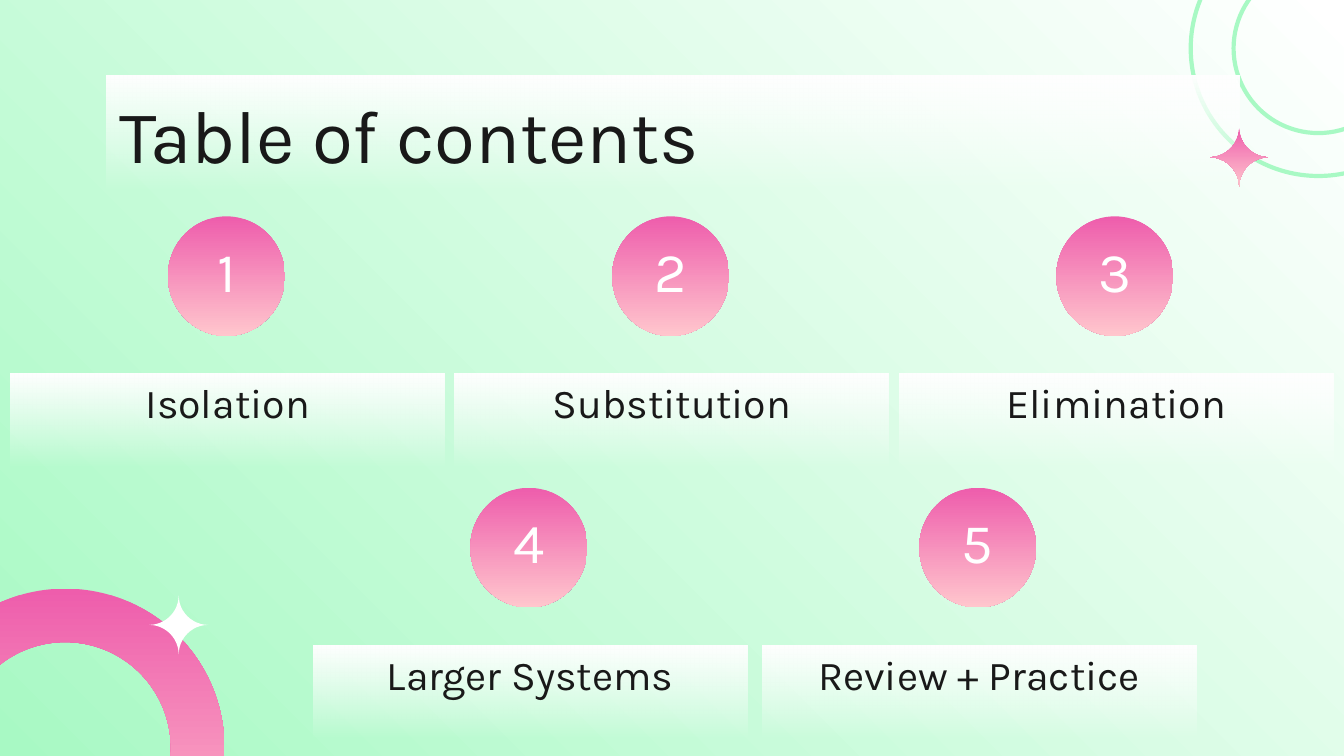
from lxml.etree import SubElement
from pptx import Presentation
from pptx.dml.color import RGBColor
from pptx.enum.shapes import MSO_SHAPE
from pptx.enum.text import MSO_ANCHOR, PP_ALIGN
from pptx.oxml.ns import qn
from pptx.util import Inches, Pt

COLORS = {
    "mint": "A8F9C4",
    "white": "FFFFFF",
    "pink": "EE5DAC",
    "blush": "FFC6CD",
    "ink": "191919",
}
FONT = "Karla"
ITEM_WIDTH = 3.23
ROWS = [
    (0.08, 1.61, 3.305, ["Isolation", "Substitution", "Elimination"]),
    (2.33, 3.63, 3.34, ["Larger Systems", "Review + Practice"]),
]


def rgb(name):
    """Return the named colour."""
    return RGBColor.from_string(COLORS[name])


def fill_gradient(fill, start, end, angle):
    """Fill with a two-stop linear gradient."""
    fill.gradient()
    fill.gradient_angle = angle
    for stop, name, position in zip(fill.gradient_stops, (start, end), (0, 1)):
        stop.color.rgb = rgb(name)
        stop.position = position


def add_plain(slide, preset, left, top, width, height, adjustment=None):
    """Add a preset shape without shadow, line or fill."""
    shape = slide.shapes.add_shape(
        preset, Inches(left), Inches(top), Inches(width), Inches(height)
    )
    shape.shadow.inherit = False
    shape.line.fill.background()
    shape.fill.background()
    if adjustment is not None:
        shape.adjustments[0] = adjustment
    return shape


def write(shape, text, size, color, align, anchor, spacing=None):
    """Write one line of text into a shape."""
    frame = shape.text_frame
    frame.word_wrap = True
    frame.vertical_anchor = anchor
    frame.margin_left = frame.margin_right = Inches(0.1)
    frame.margin_top = frame.margin_bottom = Inches(0.1)
    paragraph = frame.paragraphs[0]
    paragraph.alignment = align
    if spacing:
        paragraph.line_spacing = spacing
    run = paragraph.add_run()
    run.text = text
    run.font.name = FONT
    run.font.size = Pt(size)
    run.font.color.rgb = rgb(color)


def add_pink(slide, preset, left, top, width, height, adjustment=None):
    """Add a shape that fades from pink down to blush."""
    shape = add_plain(slide, preset, left, top, width, height, adjustment)
    fill_gradient(shape.fill, "pink", "blush", 270)


def add_panel(slide, left, top, width, height):
    """Add a white rectangle that fades out towards its bottom."""
    panel = add_plain(slide, MSO_SHAPE.RECTANGLE, left, top, width, height)
    fill_gradient(panel.fill, "white", "white", 270)
    last_color = panel._element.spPr.findall(".//" + qn("a:srgbClr"))[-1]
    SubElement(last_color, qn("a:alpha")).set("val", "0")
    return panel


def add_decor(slide):
    """Add the background, the rings and the white star."""
    fill_gradient(slide.background.fill, "mint", "white", 45)
    ring = add_plain(slide, MSO_SHAPE.DONUT, 8.86, -0.59, 1.9, 1.9, 0.168)
    ring.line.color.rgb = rgb("mint")
    ring.line.width = Pt(2.25)
    add_pink(slide, MSO_SHAPE.DONUT, -0.7, 4.38, 2.37, 2.37, 0.168)
    star = add_plain(slide, MSO_SHAPE.PLAQUE, 1.11, 4.43, 0.44, 0.44, 0.5)
    star.fill.solid()
    star.fill.fore_color.rgb = rgb("white")


def add_title(slide, left, top, width, height):
    """Add the title panel with the pink star at its right edge."""
    panel = add_panel(slide, left, top, width, height)
    write(panel, "Table of contents", 40, "ink", PP_ALIGN.LEFT, MSO_ANCHOR.TOP)
    add_pink(slide, MSO_SHAPE.PLAQUE, left + width - 0.22, top + 0.39, 0.44, 0.44, 0.5)


def add_item(slide, left, top, number, topic):
    """Add a numbered circle above its topic panel."""
    add_pink(slide, MSO_SHAPE.OVAL, left + 1.17, top, 0.87, 0.89)
    label = slide.shapes.add_textbox(
        Inches(left + 1.12), Inches(top + 0.15), Inches(0.97), Inches(0.6)
    )
    write(label, str(number), 30, "white", PP_ALIGN.CENTER, MSO_ANCHOR.BOTTOM)
    panel = add_panel(slide, left, top + 1.17, ITEM_WIDTH, 0.69)
    write(panel, topic, 22, "ink", PP_ALIGN.CENTER, MSO_ANCHOR.TOP, 0.8)


def main():
    """Build the table of contents slide."""
    deck = Presentation()
    deck.slide_width = Inches(10)
    deck.slide_height = deck.slide_width * 9 // 16
    slide = deck.slides.add_slide(deck.slide_layouts[6])
    add_decor(slide)
    add_title(slide, 0.79, 0.56, 8.43, 0.85)
    number = 0
    for left, top, pitch, topics in ROWS:
        for column, topic in enumerate(topics):
            number += 1
            add_item(slide, left + column * pitch, top, number, topic)
    deck.save("out.pptx")


if __name__ == "__main__":
    main()
